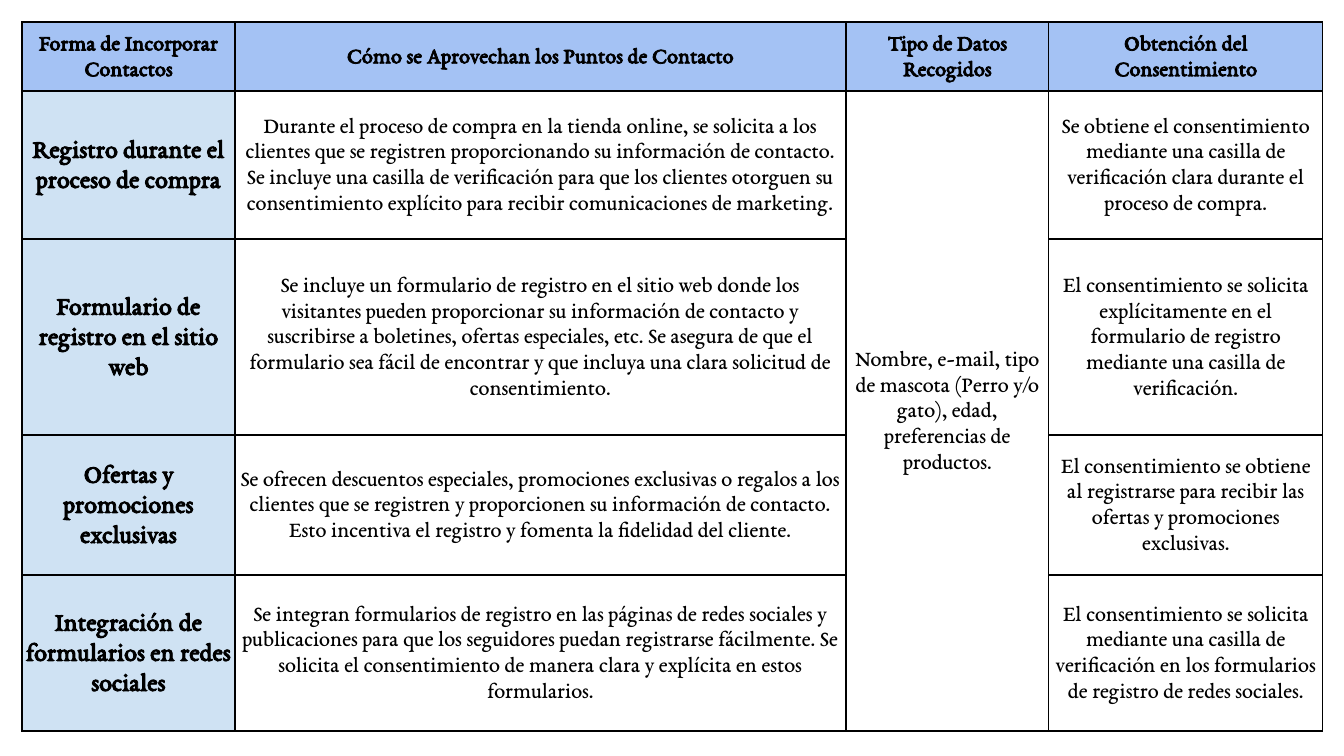
from pptx import Presentation
from pptx.dml.color import RGBColor
from pptx.enum.text import MSO_ANCHOR, PP_ALIGN
from pptx.oxml import parse_xml
from pptx.oxml.ns import nsdecls
from pptx.util import Pt

PX = 6804
FONT = "EB Garamond"
BLACK = RGBColor(0x00, 0x00, 0x00)
BLUE = RGBColor(0xA4, 0xC2, 0xF4)
PALE = RGBColor(0xCF, 0xE2, 0xF3)

BOX = (22, 22, 1301, 709)
COLS = (213, 611, 203, 274)
ROWS = (69, 148, 196, 140, 156)
PAD = 4

HEADS = (
    "Forma de Incorporar Contactos",
    "Cómo se Aprovechan los Puntos de Contacto",
    "Tipo de Datos Recogidos",
    "Obtención del Consentimiento",
)
DATA = "Nombre, e-mail, tipo de mascota (Perro y/o gato), edad, preferencias de productos."
FORMS = (
    (
        "Registro durante el proceso de compra",
        "Durante el proceso de compra en la tienda online, se solicita a los clientes "
        "que se registren proporcionando su información de contacto. Se incluye una "
        "casilla de verificación para que los clientes otorguen su consentimiento "
        "explícito para recibir comunicaciones de marketing.",
        DATA,
        "Se obtiene el consentimiento mediante una casilla de verificación clara "
        "durante el proceso de compra.",
    ),
    (
        "Formulario de registro en el sitio web",
        "Se incluye un formulario de registro en el sitio web donde los visitantes "
        "pueden proporcionar su información de contacto y suscribirse a boletines, "
        "ofertas especiales, etc. Se asegura de que el formulario sea fácil de "
        "encontrar y que incluya una clara solicitud de consentimiento.",
        "",
        "El consentimiento se solicita explícitamente en el formulario de registro "
        "mediante una casilla de verificación.",
    ),
    (
        "Ofertas y promociones exclusivas",
        "Se ofrecen descuentos especiales, promociones exclusivas o regalos a los "
        "clientes que se registren y proporcionen su información de contacto. Esto "
        "incentiva el registro y fomenta la fidelidad del cliente.",
        "",
        "El consentimiento se obtiene al registrarse para recibir las ofertas y "
        "promociones exclusivas.",
    ),
    (
        "Integración de formularios en redes sociales",
        "Se integran formularios de registro en las páginas de redes sociales y "
        "publicaciones para que los seguidores puedan registrarse fácilmente. Se "
        "solicita el consentimiento de manera clara y explícita en estos formularios.",
        "",
        "El consentimiento se solicita mediante una casilla de verificación en los "
        "formularios de registro de redes sociales.",
    ),
)


def add_edges(cell):
    props = cell._tc.get_or_add_tcPr()
    for side in "LRTB":
        props.append(parse_xml(
            f'<a:ln{side} {nsdecls("a")} w="{Pt(0.75)}"><a:solidFill>'
            f'<a:srgbClr val="{BLACK}"/></a:solidFill></a:ln{side}>'
        ))


def fill_cell(cell, text, size, bold, fill):
    add_edges(cell)
    if fill is None:
        cell.fill.background()
    else:
        cell.fill.solid()
        cell.fill.fore_color.rgb = fill
    cell.margin_left = cell.margin_right = PAD * PX
    cell.margin_top = cell.margin_bottom = PAD * PX
    cell.vertical_anchor = MSO_ANCHOR.MIDDLE
    cell.text = text
    para = cell.text_frame.paragraphs[0]
    para.alignment = PP_ALIGN.CENTER
    para.line_spacing = 1.15
    para.font.name = FONT
    para.font.size = Pt(size)
    para.font.bold = bold
    para.font.color.rgb = BLACK


def add_grid(slide, box):
    frame = slide.shapes.add_table(len(ROWS), len(COLS), *(n * PX for n in box))
    table = frame.table
    table.first_row = table.horz_banding = False
    for col, width in zip(table.columns, COLS):
        col.width = width * PX
    for row, height in zip(table.rows, ROWS):
        row.height = height * PX
    table.cell(1, 2).merge(table.cell(len(ROWS) - 1, 2))
    for r, texts in enumerate((HEADS, *FORMS)):
        for c, text in enumerate(texts):
            cell = table.cell(r, c)
            if cell.is_spanned:
                continue
            if r == 0:
                fill_cell(cell, text, 12, True, BLUE)
            elif c == 0:
                fill_cell(cell, text, 14, True, PALE)
            else:
                fill_cell(cell, text, 12, False, None)


def main():
    deck = Presentation()
    deck.slide_width = 1344 * PX
    deck.slide_height = 756 * PX
    slide = deck.slides.add_slide(deck.slide_layouts[6])
    add_grid(slide, BOX)
    deck.save("out.pptx")


if __name__ == "__main__":
    main()
